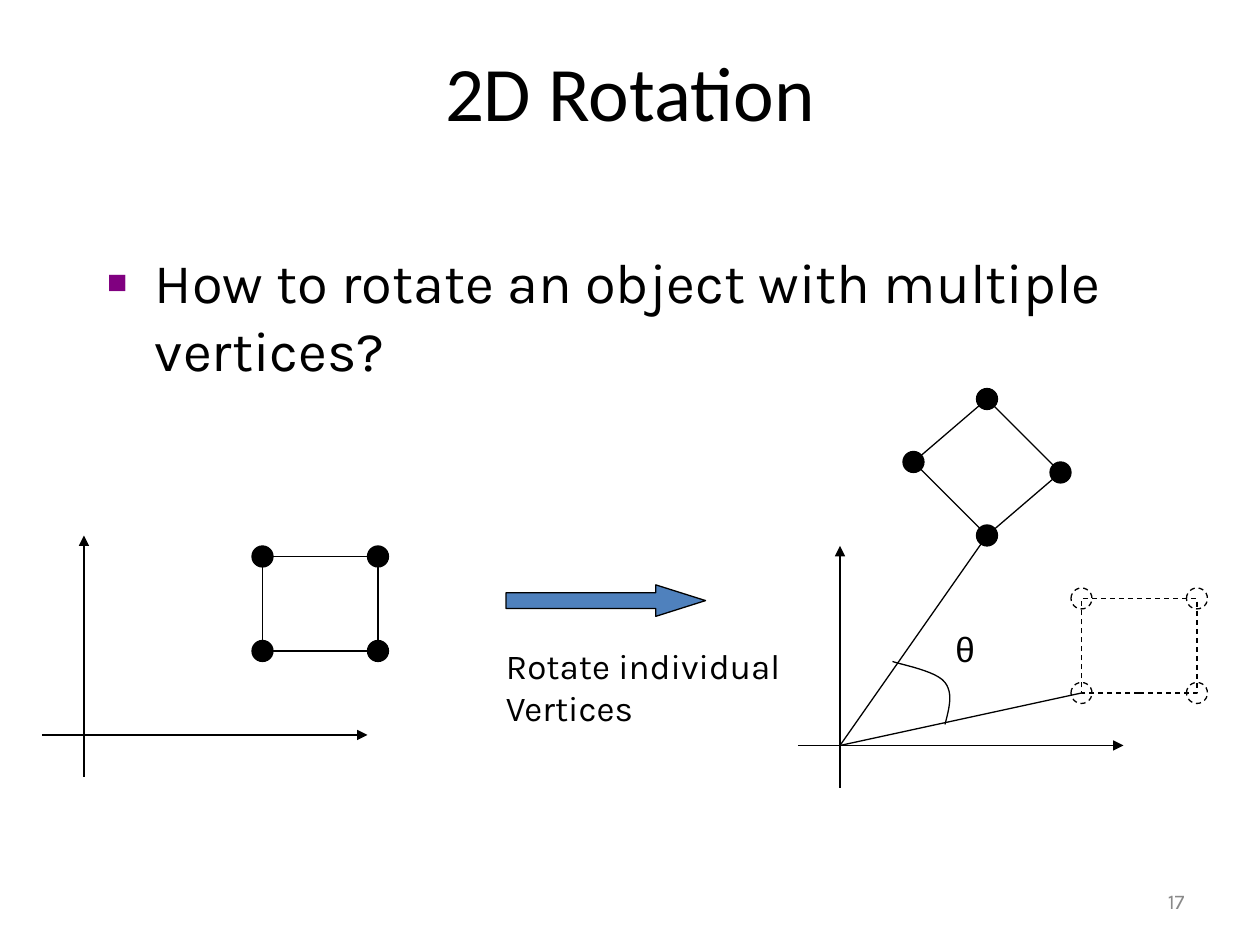
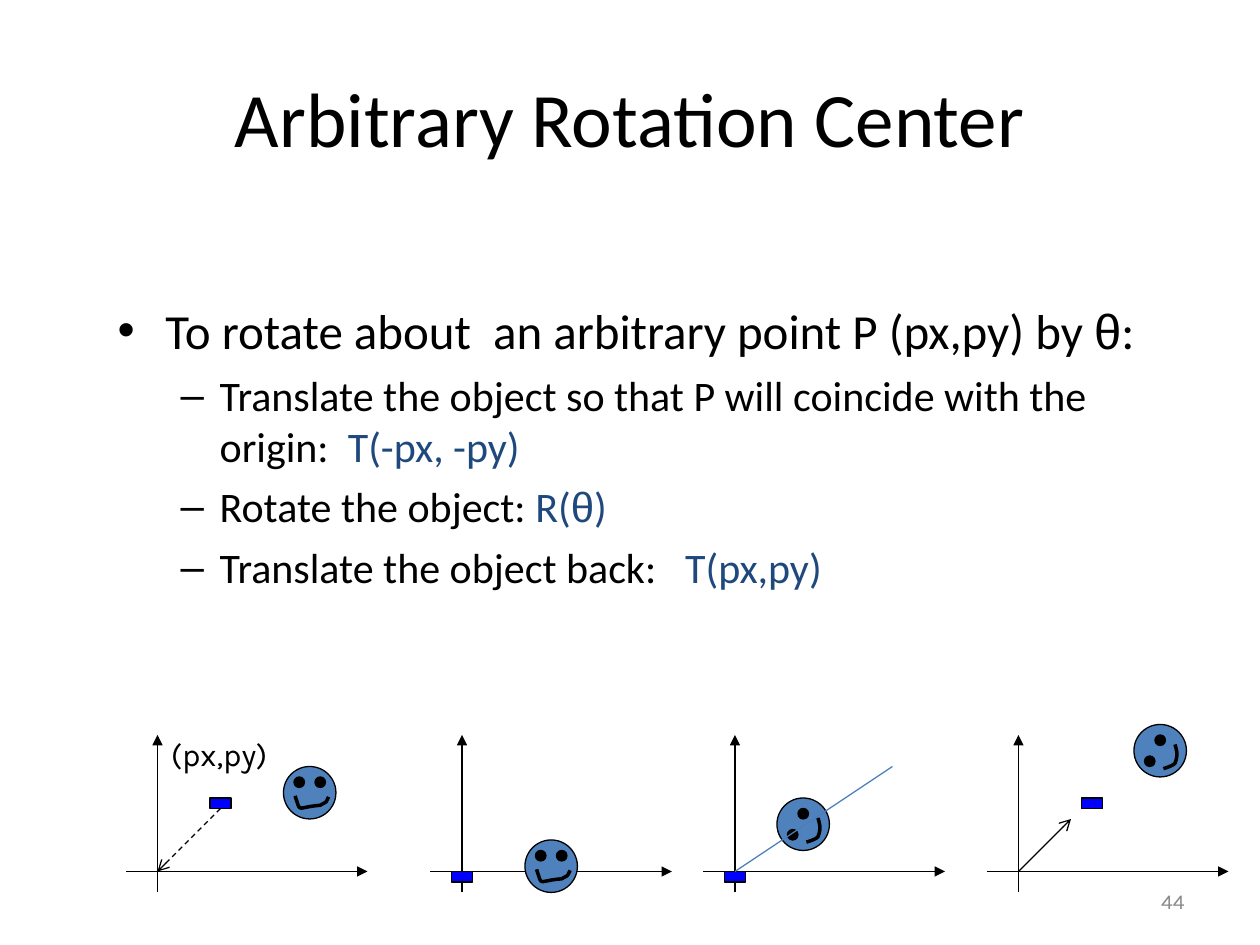
from itertools import chain
from lxml import etree
from pptx import Presentation
from pptx.dml.color import RGBColor
from pptx.enum.dml import MSO_LINE
from pptx.enum.shapes import MSO_CONNECTOR, MSO_SHAPE
from pptx.enum.text import MSO_ANCHOR, MSO_AUTO_SIZE, PP_ALIGN
from pptx.oxml.ns import qn
from pptx.util import Inches, Pt

BLACK = RGBColor(0x00, 0x00, 0x00)
GRAY = RGBColor(0x89, 0x89, 0x89)
PURPLE = RGBColor(0x80, 0x00, 0x80)
NAVY = RGBColor(0x1F, 0x49, 0x7D)
BLUE = RGBColor(0x4F, 0x81, 0xBD)
LINE_BLUE = RGBColor(0x4A, 0x7E, 0xBB)
MARKER_BLUE = RGBColor(0x00, 0x00, 0xFF)

HEADING, BODY, GREEK = "Calibri", "Karla", "Arial"

# Grid of 120 columns by 90 rows; (0, 0) is the top left corner
COLS, ROWS = 120, 90
CELL = Inches(10) // COLS

# Curves: a start point, then three points for each cubic section
ANGLE_ARC = [(10, -2), (10.4, -3.5), (10.8, -5), (10, -6),
             (9.2, -7.1), (5.8, -7.7), (5, -8)]
SMILE = [(1.1, 2.8), (1.7, 4.5), (1.1, 3.9), (3.5, 3.7),
         (4.2, 3.3), (4, 3.5), (4.3, 2.9)]
TURNED_SMILE = [(3.9, 1.9), (4.1, 2.6), (4.2, 2.9), (3.9, 3.7),
                (3.6, 4), (2.8, 4.2), (2.8, 4.2)]
UPRIGHT = ([(1, 1), (3, 1)], SMILE)
TURNED = ([(2, 1), (1, 3)], TURNED_SMILE)


def cells(*values):
    return [round(v * CELL) for v in values]


def shift(origin, x, y):
    return origin[0] + x, origin[1] + y


# ---- Text ----
def write(p, text, size=20, color=BLACK, font=BODY):
    r = p.add_run()
    r.text = text
    r.font.size, r.font.name = Pt(size), font
    r.font.color.rgb = color
    return r


def place(sp, x, y, w, h):
    sp.left, sp.top, sp.width, sp.height = cells(x, y, w, h)


def label(s, box, lines, align=PP_ALIGN.LEFT, anchor=MSO_ANCHOR.TOP, **fmt):
    tf = s.shapes.add_textbox(*cells(*box)).text_frame
    tf.word_wrap, tf.vertical_anchor = False, anchor
    for i, line in enumerate(lines):
        p = tf.add_paragraph() if i else tf.paragraphs[0]
        p.alignment = align
        write(p, line, **fmt)


def bullet(p, char, color, left, hang, percent=100):
    pPr = p._p.get_or_add_pPr()
    pPr.set("marL", str(Inches(left)))
    pPr.set("indent", str(-Inches(hang)))
    clr = etree.SubElement(pPr, qn("a:buClr"))
    etree.SubElement(clr, qn("a:srgbClr"), val=str(color))
    etree.SubElement(pPr, qn("a:buSzPct"), val=str(percent * 1000))
    etree.SubElement(pPr, qn("a:buFont"), typeface=GREEK)
    etree.SubElement(pPr, qn("a:buChar"), char=char)


# ---- Drawing ----
def style_line(ln, color, width=0.75, dashed=False):
    ln.color.rgb, ln.width = color, Pt(width)
    if dashed:
        ln.dash_style = MSO_LINE.DASH


def shape(s, kind, box, fill=None, dashed=False):
    sp = s.shapes.add_shape(kind, *cells(*box))
    sp.shadow.inherit = False
    if fill is None:
        sp.fill.background()
    else:
        sp.fill.solid()
        sp.fill.fore_color.rgb = fill
    style_line(sp.line, BLACK, dashed=dashed)
    return sp


def line(s, start, end, color=BLACK, dashed=False, head=None):
    c = s.shapes.add_connector(MSO_CONNECTOR.STRAIGHT, *cells(*start, *end))
    style_line(c.line, color, dashed=dashed)
    if head:
        etree.SubElement(c.line._get_or_add_ln(), qn("a:tailEnd"), type=head)
    etree.SubElement(c._element.spPr, qn("a:effectLst"))
    return c


def curve(s, origin, points, width=0.75, steps=12):
    """Draw joined cubic curves as a fine open outline."""
    def section(quad):
        for t in (k / steps for k in range(1, steps + 1)):
            weights = ((1 - t) ** 3, 3 * t * (1 - t) ** 2,
                       3 * t * t * (1 - t), t ** 3)
            yield [sum(w * q[axis] for w, q in zip(weights, quad))
                   for axis in (0, 1)]

    dots = chain.from_iterable(section(points[i:i + 4])
                               for i in range(0, len(points) - 1, 3))
    fb = s.shapes.build_freeform(*cells(*shift(origin, *points[0])))
    fb.add_line_segments([cells(*shift(origin, *d)) for d in dots],
                         close=False)
    sp = fb.convert_to_shape()
    sp.shadow.inherit = False
    sp.fill.background()
    style_line(sp.line, BLACK, width)


def axes(s, origin, left, right, down, up):
    line(s, shift(origin, -left, 0), shift(origin, right, 0), head="triangle")
    line(s, shift(origin, 0, down), shift(origin, 0, -up), head="triangle")


def vertex(s, center, fill=BLACK, dashed=False):
    shape(s, MSO_SHAPE.OVAL, (*shift(center, -1, -1), 2, 2), fill, dashed)


def vertex_box(s, corner, w=11, h=9, fill=BLACK, dashed=False):
    shape(s, MSO_SHAPE.RECTANGLE, (*corner, w, h), dashed=dashed)
    for y in (h, 0):
        for x in (0, w):
            vertex(s, shift(corner, x, y), fill, dashed)


def face(s, corner, pose):
    eyes, mouth = pose
    shape(s, MSO_SHAPE.OVAL, (*corner, 5, 5), BLUE)
    for eye in eyes:
        shape(s, MSO_SHAPE.OVAL, (*shift(corner, *eye), 1, 1), BLACK)
    curve(s, corner, mouth, width=2)


# ---- Shared slide frame ----
def new_slide(prs, title, number, body_box, anchor):
    """Add a titled, numbered slide; return it with its body text frame."""
    s = prs.slides.add_slide(prs.slide_layouts[1])
    head, body = s.shapes.title, s.placeholders[1]
    place(head, 6, 3.6, 108, 15)
    place(body, *body_box)
    for sp in (head, body):
        sp.text_frame.auto_size = MSO_AUTO_SIZE.NONE
        sp.text_frame.word_wrap = True
    head.text_frame.vertical_anchor = anchor
    p = head.text_frame.paragraphs[0]
    p.alignment = PP_ALIGN.CENTER
    write(p, title, size=44, font=HEADING)
    label(s, (86, 83.4, 28, 4.8), [number], PP_ALIGN.RIGHT,
          MSO_ANCHOR.MIDDLE, size=12, color=GRAY)
    return s, body.text_frame


# ---- Slide: rotating a set of vertices ----
def rotated_plot(s, origin):
    axes(s, origin, 4, 27, 4, 19)
    vertex_box(s, shift(origin, 23, -14), fill=None, dashed=True)
    corners = [shift(origin, *c)
               for c in ((7, -27), (14, -20), (21, -26), (14, -33))]
    for a, b in zip(corners, corners[1:] + corners[:1]):
        line(s, a, b)
    for c in corners:
        vertex(s, c)
    # Rays to the same corner before and after, and the angle between
    line(s, origin, shift(origin, 23, -5))
    line(s, origin, corners[1])
    curve(s, origin, ANGLE_ARC)
    label(s, (*shift(origin, 9.8, -11.8), 4, 5.3), ["θ"], font=GREEK)


def rotation_slide(prs):
    s, tf = new_slide(prs, "2D Rotation", "17", (9, 23, 102, 54),
                      MSO_ANCHOR.TOP)
    p = tf.paragraphs[0]
    bullet(p, "■", PURPLE, 0.38, 0.38, 60)
    p.space_before = Pt(0)
    write(p, "How to rotate an object with multiple vertices?", size=32)

    # Before
    start = (8, 70)
    axes(s, start, 4, 27, 4, 19)
    vertex_box(s, shift(start, 17, -17))
    # Step
    arrow = shape(s, MSO_SHAPE.RIGHT_ARROW, (48.2, 55.7, 19, 3), BLUE)
    arrow.adjustments[1] = 1.58
    label(s, (47, 60.8, 28.8, 9.2), ["Rotate individual", "Vertices"])
    # After
    rotated_plot(s, (80, 71))


# ---- Slide: rotating about any point ----
def step_plot(s, origin, face_at, pose, marker_at):
    """Axes, face and pivot marker of one step; returns the marker."""
    axes(s, origin, 3, 20, 2, 13)
    face(s, shift(origin, *face_at), pose)
    return shape(s, MSO_SHAPE.RECTANGLE, (*shift(origin, *marker_at), 2, 1),
                 MARKER_BLUE)


def center_slide(prs):
    s, tf = new_slide(prs, "Arbitrary Rotation Center", "44",
                      (10, 28, 102, 54), MSO_ANCHOR.MIDDLE)
    items = [
        (0, [("To rotate about  an arbitrary point P (px,py) by ", BLACK),
             ("θ", BLACK), (":", BLACK)]),
        (1, [("Translate the object so that P will coincide with the "
              "origin:  ", BLACK), ("T(-px, -py)", NAVY)]),
        (1, [("Rotate the object: ", BLACK), ("R(", NAVY), ("θ", NAVY),
             (")", NAVY)]),
        (1, [("Translate the object back:   ", BLACK), ("T(px,py)", NAVY)]),
    ]
    for i, (level, runs) in enumerate(items):
        p = tf.add_paragraph() if i else tf.paragraphs[0]
        p.level = level
        if level:
            bullet(p, "–", BLACK, 0.81, 0.31)
        else:
            bullet(p, "•", BLACK, 0.38, 0.38)
        p.space_before = Pt(6 if i else 0)
        for text, color in runs:
            write(p, text, size=24 if level else 28, color=color,
                  font=GREEK if text == "θ" else HEADING)

    given, moved, turned, restored = [(x, 83) for x in (15, 44, 70, 97)]
    # Given point and object
    marker = step_plot(s, given, (12, -10), UPRIGHT, (5, -7))
    label(s, (*shift(given, 0.1, -13.6), 11.8, 4.8), ["(px,py)"], size=18)
    line(s, shift(given, 6, -6), given, dashed=True,
         head="arrow").begin_connect(marker, 2)
    # Moved to the origin
    step_plot(s, moved, (6, -3), UPRIGHT, (-1, 0))
    # Rotated
    marker = step_plot(s, turned, (4, -7), TURNED, (-1, 0))
    line(s, turned, shift(turned, 15, -10),
         color=LINE_BLUE).begin_connect(marker, 0)
    # Moved back
    step_plot(s, restored, (11, -14), TURNED, (6, -7))
    line(s, restored, shift(restored, 5, -5), head="arrow")


def main():
    prs = Presentation()
    prs.slide_width, prs.slide_height = CELL * COLS, CELL * ROWS
    rotation_slide(prs)
    center_slide(prs)
    prs.save("out.pptx")


if __name__ == "__main__":
    main()
